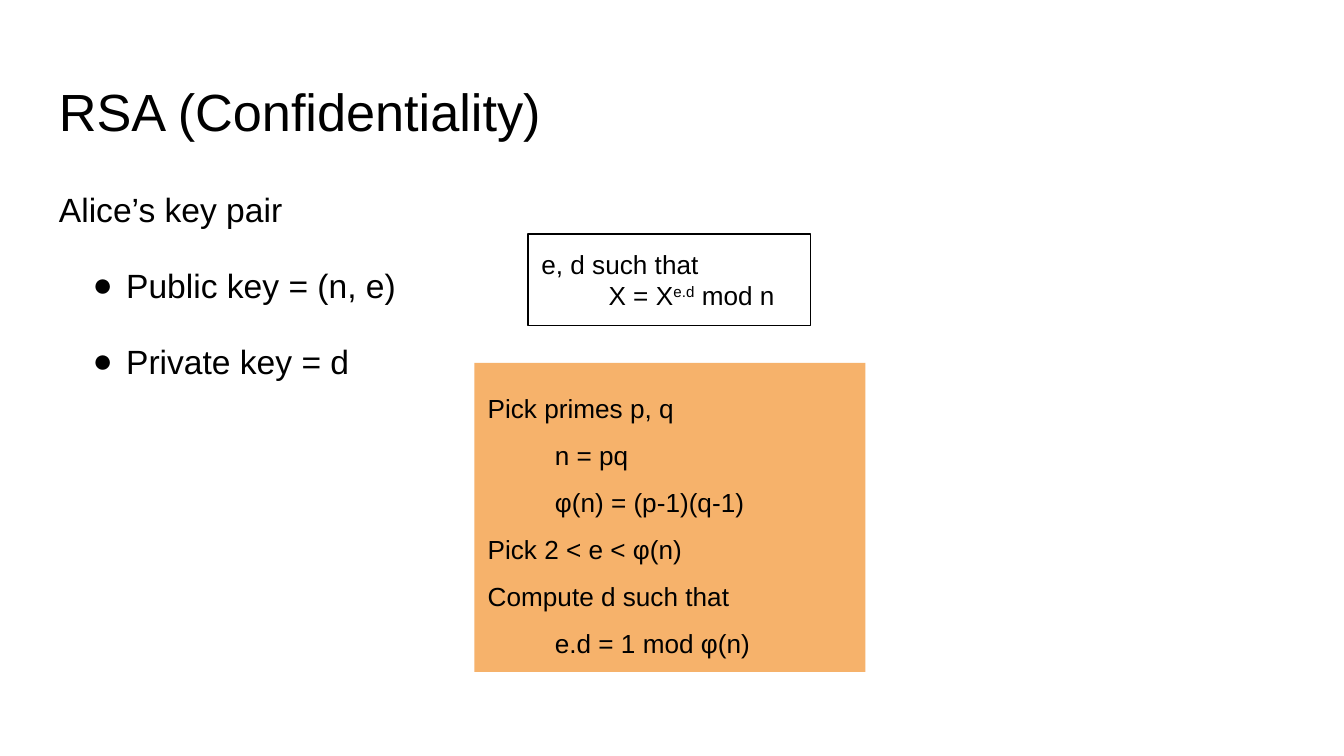
from pptx import Presentation, util as u
from pptx.dml.color import RGBColor
from pptx.enum import shapes, text
from pptx.oxml import parse_xml
from pptx.oxml.ns import nsdecls

WIDE = 10
HIGH = WIDE * 9 / 16
LEFT, SPAN = 0.34, 9.32
PAD = 0.1
FONT = "Arial"
BLACK, ORANGE = "000000", "F6B26B"
TOP, MID = text.MSO_ANCHOR.TOP, text.MSO_ANCHOR.MIDDLE

# A line is (style, runs); a run is (text, superscript percent).
PLAIN, TAB, DOT = (0, 0), (0, 0.5), (0.5, -0.25)  # left margin, first-line indent
TITLE = [(PLAIN, [("RSA (Confidentiality)", 0)])]
KEYS = [
    (PLAIN, [("Alice’s key pair", 0)]),
    (DOT, [("Public key = (n, e)", 0)]),
    (DOT, [("Private key = d", 0)]),
]
RULE = [
    (PLAIN, [("e, d such that", 0)]),
    (TAB, [("X = X", 0), ("e.d", 30), (" mod n", 0)]),
]
STEPS = [
    (PLAIN, [("Pick primes p, q", 0)]),
    (TAB, [("n = pq", 0)]),
    (TAB, [("φ(n) = (p-1)(q-1)", 0)]),
    (PLAIN, [("Pick 2 < e < φ(n)", 0)]),
    (PLAIN, [("Compute d such that", 0)]),
    (TAB, [("e.d = 1 mod φ(n)", 0)]),
]


def color(code):
    return RGBColor.from_string(code)


def write(shape, lines, size, space=1.0, after=0, anchor=TOP):
    frame = shape.text_frame
    frame.word_wrap = True
    frame.vertical_anchor = anchor
    frame.margin_left = frame.margin_right = u.Inches(PAD)
    frame.margin_top = frame.margin_bottom = u.Inches(PAD)
    for i, (style, runs) in enumerate(lines):
        para = frame.add_paragraph() if i else frame.paragraphs[0]
        para.alignment = text.PP_ALIGN.LEFT
        para.line_spacing = space
        para.space_after = u.Pt(after)
        props = para._p.get_or_add_pPr()
        for name, inch in zip(("marL", "indent"), style):
            props.set(name, str(u.Inches(inch)))
        if style == DOT:
            for tag in (f'buFont {nsdecls("a")} typeface="{FONT}"',
                        f'buChar {nsdecls("a")} char="●"'):
                props.append(parse_xml(f"<a:{tag}/>"))
        for words, lift in runs:
            run = para.add_run()
            run.text = words
            run.font.name = FONT
            run.font.size = u.Pt(size)
            run.font.color.rgb = color(BLACK)
            if lift:
                run.font._element.set("baseline", str(lift * 1000))


def label(slide, place, lines, size, **style):
    box = slide.shapes.add_textbox(*map(u.Inches, place))
    write(box, lines, size, **style)


def panel(slide, place, lines, fill=None, edge=None, **style):
    box = slide.shapes.add_shape(shapes.MSO_SHAPE.RECTANGLE, *map(u.Inches, place))
    box.shadow.inherit = False
    if fill:
        box.fill.solid()
        box.fill.fore_color.rgb = color(fill)
    else:
        box.fill.background()
    if edge:
        box.line.color.rgb = color(edge)
        box.line.width = u.Pt(0.75)
    else:
        box.line.fill.background()
    write(box, lines, 14, **style)


def main():
    deck = Presentation()
    deck.slide_width, deck.slide_height = u.Inches(WIDE), u.Inches(HIGH)
    slide = deck.slides.add_slide(deck.slide_layouts[6])
    label(slide, (LEFT, 1.26, SPAN, 3.74), KEYS, 18, space=1.15, after=16)
    label(slide, (LEFT, 0.49, SPAN, 0.63), TITLE, 28)
    panel(slide, (3.93, 1.74, 2.1, 0.68), RULE, edge=BLACK, anchor=MID)
    panel(slide, (3.53, 2.7, 2.91, 2.3), STEPS, fill=ORANGE, space=1.5)
    deck.save("out.pptx")


if __name__ == "__main__":
    main()
